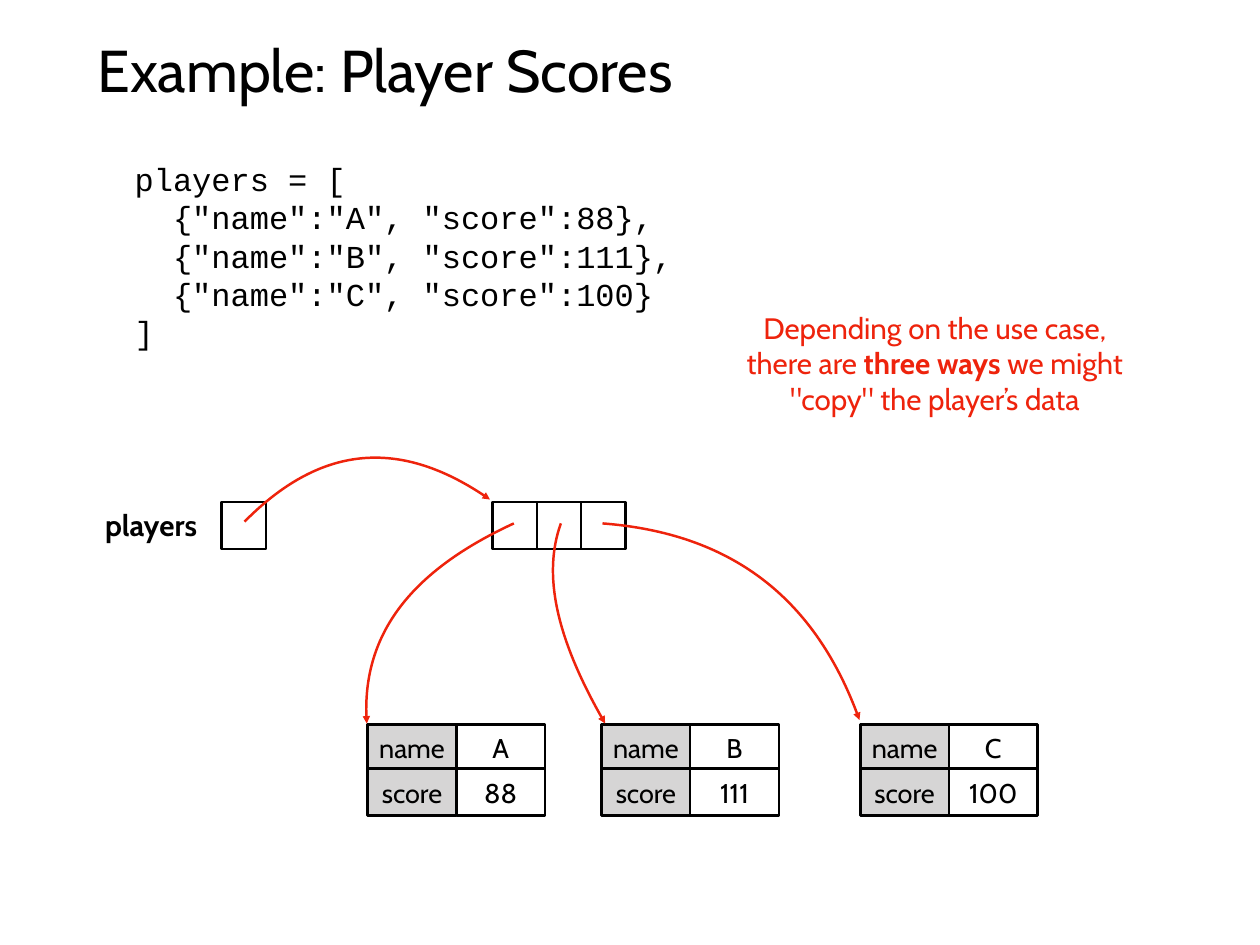
from pptx import Presentation
from pptx.dml.color import RGBColor
from pptx.enum.shapes import MSO_SHAPE as SHAPE
from pptx.enum.text import MSO_ANCHOR as ANCHOR, PP_ALIGN as ALIGN
from pptx.oxml.ns import qn
from pptx.util import Inches, Pt
from lxml.etree import SubElement

TITLE = "Example: Player Scores"
CODE = [
    'players = [',
    '  {"name":"A", "score":88},',
    '  {"name":"B", "score":111},',
    '  {"name":"C", "score":100}',
    ']',
]
VARIABLE = "players"
NOTE = [
    [("Depending on the use case,", False)],
    [("there are ", False), ("three ways", True), (" we might", False)],
    [('"copy" the player’s data', False)],
]
PLAYERS = [
    (4.15, {"name": "A", "score": "88"}),
    (6.79, {"name": "B", "score": "111"}),
    (9.71, {"name": "C", "score": "100"}),
]
REFERENCES = [
    [(2.76, 5.89), (3.61, 5.03), (4.53, 4.94), (5.53, 5.64)],
    [(6.8, 5.91), (8.24, 6.02), (9.21, 6.76), (9.7, 8.13)],
    [(6.33, 5.91), (6.12, 6.49), (6.29, 7.24), (6.83, 8.17)],
    [(5.8, 5.91), (4.63, 6.45), (4.07, 7.2), (4.14, 8.17)],
]
BLACK, WHITE, GRAY, RED = "000000", "FFFFFF", "D6D5D5", "EE230C"
SLOT, CELL, HEIGHT, ROW = 0.5, 1, 0.53, 0.5
VARIABLE_LEFT, LIST_LEFT, LIST_TOP, RECORD_TOP = 2.5, 5.56, 5.67, 8.18


def color(hex_code):
    """Return the colour for a hex string."""
    return RGBColor.from_string(hex_code)


def write(holder, lines, size, hue=BLACK, font="Cabin", align=ALIGN.CENTER,
          anchor=ANCHOR.MIDDLE, spacing=None):
    """Write lines of (text, bold) runs into a shape."""
    frame = holder.text_frame
    frame.word_wrap, frame.vertical_anchor = True, anchor
    frame.margin_left = frame.margin_right = Inches(0.06)
    frame.margin_top = frame.margin_bottom = Inches(0.06)
    frame.text = "\n".join("" for _ in lines)
    for paragraph, line in zip(frame.paragraphs, lines):
        paragraph.alignment = align
        if spacing:
            paragraph.line_spacing = Pt(spacing)
        for text, bold in line:
            run = paragraph.add_run()
            run.text = text
            run.font.name, run.font.size, run.font.bold = font, Pt(size), bold
            run.font.color.rgb = color(hue)


def text_box(left, top, width, height):
    """Add an empty text box."""
    return slide.shapes.add_textbox(Inches(left), Inches(top), Inches(width), Inches(height))


def box(left, top, width, fill=WHITE, text=None):
    """Add one outlined memory cell."""
    cell = slide.shapes.add_shape(
        SHAPE.RECTANGLE, Inches(left), Inches(top), Inches(width), Inches(HEIGHT))
    cell.shadow.inherit = False
    cell.fill.solid()
    cell.fill.fore_color.rgb = color(fill)
    cell.line.color.rgb = color(BLACK)
    cell.line.width = Pt(2)
    if text:
        write(cell, [[(text, False)]], 22)


def reference(points):
    """Add a red Bezier arrow from its start, two control points and end."""
    start, *rest = [(Inches(x), Inches(y)) for x, y in points]
    builder = slide.shapes.build_freeform(*start)
    builder.add_line_segments(rest, close=False)
    arrow = builder.convert_to_shape()
    arrow.shadow.inherit = False
    arrow.fill.background()
    arrow.line.color.rgb = color(RED)
    arrow.line.width = Pt(2)
    outline = next(arrow.element.iter(qn("a:path")))
    curve = SubElement(outline, qn("a:cubicBezTo"))
    for segment in outline.findall(qn("a:lnTo")):
        curve.append(segment[0])
        outline.remove(segment)
    line = next(arrow.element.iter(qn("a:ln")))
    SubElement(line, qn("a:tailEnd"), type="triangle")


deck = Presentation()
deck.slide_width, deck.slide_height = Inches(14.22), Inches(10.67)
slide = deck.slides.add_slide(deck.slide_layouts[5])

title = slide.shapes.title
title.left, title.top = Inches(1.04), Inches(0.28)
title.width, title.height = Inches(12.14), Inches(0.99)
write(title, [[(TITLE, False)]], 48, align=ALIGN.LEFT)

write(text_box(1.46, 1.74, 12.14, 2.45), [[(line, False)] for line in CODE], 26,
      font="Courier New", align=ALIGN.LEFT, anchor=ANCHOR.TOP, spacing=31.2)
write(text_box(1.04, 5.68, 1.33, 0.5), [[(VARIABLE, True)]], 24)
write(text_box(8.19, 3.46, 4.72, 1.28), NOTE, 24, hue=RED)

box(VARIABLE_LEFT, LIST_TOP, SLOT)
for index, (record_left, record) in enumerate(PLAYERS):
    box(LIST_LEFT + index * SLOT, LIST_TOP, SLOT)
    for row, (key, value) in enumerate(record.items()):
        top = RECORD_TOP + row * ROW
        box(record_left, top, CELL, GRAY, key)
        box(record_left + CELL, top, CELL, WHITE, value)

for points in REFERENCES:
    reference(points)

deck.save("out.pptx")
